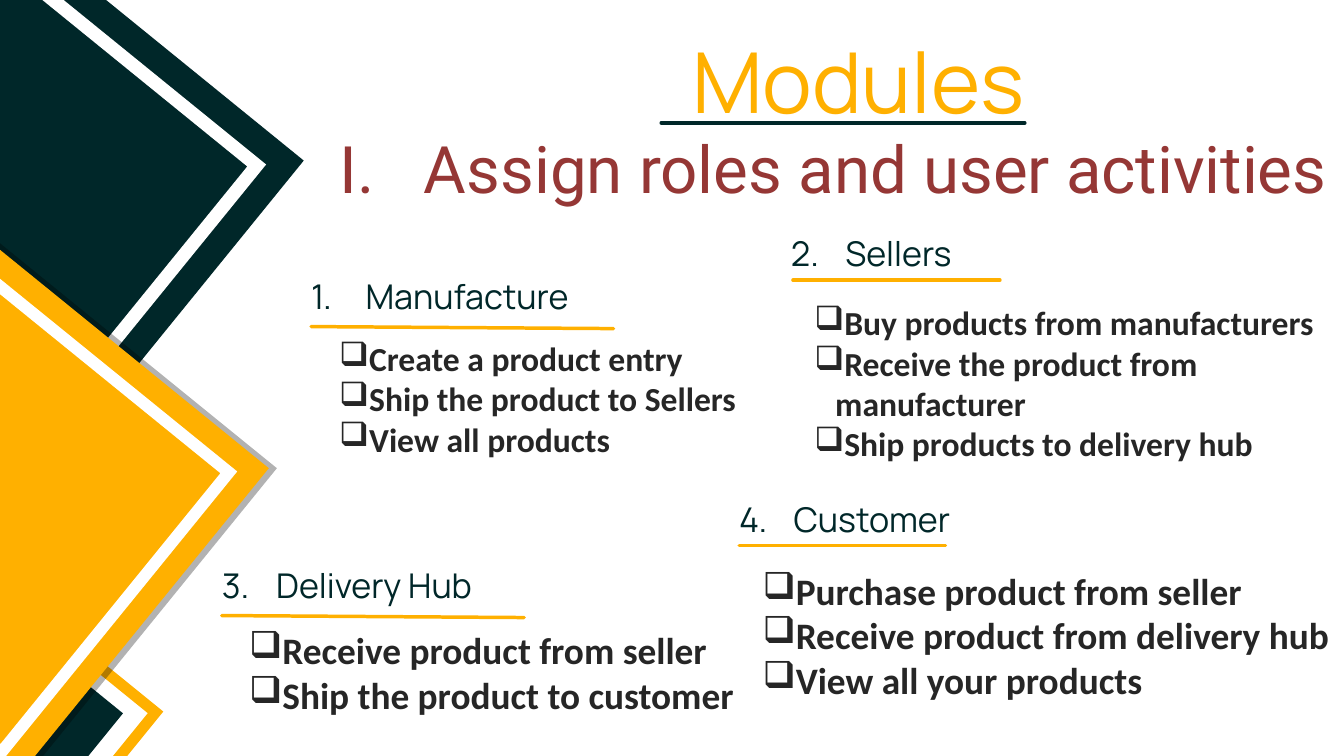
from lxml.etree import SubElement
from pptx import Presentation
from pptx.dml.color import RGBColor
from pptx.enum.shapes import MSO_CONNECTOR
from pptx.enum.text import MSO_AUTO_SIZE, PP_ALIGN
from pptx.oxml.ns import qn
from pptx.util import Cm, Pt

COLORS = {"dark": "002729", "gold": "FFB000", "white": "FFFFFF",
          "black": "000000", "red": "953735", "ink": "262626"}

# centre x, centre y, reach, inner reach (0 = solid), colour, opacity %
DIAMONDS = [
    (-0.6, 2.92, 5.12, 0, "dark", 100),
    (-0.6, 2.92, 4.56, 4.28, "white", 100),
    (-2.18, 11.03, 4.01, 0, "dark", 100),
    (-1.15, 10.96, 3.58, 3.35, "gold", 100),
    (-0.25, 7.42, 4.37, 0, "black", 30),
    (-0.37, 7.42, 4.37, 0, "gold", 100),
    (-0.37, 7.42, 3.9, 3.65, "white", 100),
]
TILT = 0.1035

RULES = [
    (9.84, 1.83, 15.25, 1.83, "dark"),
    (4.63, 4.86, 9.13, 4.89, "gold"),
    (11.8, 4.17, 14.88, 4.17, "gold"),
    (3.3, 9.16, 7.8, 9.19, "gold"),
    (11, 8.12, 14.07, 8.12, "gold"),
]

# role, heading box, list box, list size, activities
ROLES = [
    ("Manufacture", (4.63, 3.99, 5.15, 0.68), (4.95, 4.98, 6.17, 1.99), 36,
     ["Create a product entry", "Ship the product to Sellers",
      "View all products"]),
    ("Sellers", (11.77, 3.36, 5.44, 1.39), (12.02, 4.45, 7.98, 2.52), 36,
     ["Buy products from manufacturers",
      "Receive the product from manufacturer",
      "Ship products to delivery hub"]),
    ("Delivery Hub", (3.3, 8.3, 5.15, 0.68), (3.61, 9.29, 7.64, 1.45), 40,
     ["Receive product from seller", "Ship the product to customer"]),
    ("Customer", (11, 7.31, 5.44, 1.39), (11.25, 8.4, 8.73, 2.12), 40,
     ["Purchase product from seller", "Receive product from delivery hub",
      "View all your products"]),
]


def size(inches):
    return Cm(inches * 2.54)


def color(name):
    return RGBColor.from_string(COLORS[name])


def corners(x, y, reach):
    rise = reach * TILT
    steps = [(reach, -rise), (rise, reach), (-reach, rise), (-rise, -reach)]
    return [(size(x + dx), size(y + dy)) for dx, dy in steps]


def add_diamond(slide, x, y, reach, inner, tone, alpha):
    outer = corners(x, y, reach)
    path = slide.shapes.build_freeform(*outer[0])
    path.add_line_segments(outer[1:], close=True)
    if inner:
        hole = corners(x, y, inner)[::-1]
        path.move_to(*hole[0])
        path.add_line_segments(hole[1:], close=True)
    shape = path.convert_to_shape()
    shape.shadow.inherit = False
    shape.line.fill.background()
    shape.fill.solid()
    shape.fill.fore_color.rgb = color(tone)
    if alpha < 100:
        fill = shape._element.spPr.find(".//" + qn("a:srgbClr"))
        SubElement(fill, qn("a:alpha"), val=str(alpha * 1000))


def add_rule(slide, x1, y1, x2, y2, tone):
    rule = slide.shapes.add_connector(
        MSO_CONNECTOR.STRAIGHT, size(x1), size(y1), size(x2), size(y2))
    rule.line.color.rgb = color(tone)
    rule.line.width = Pt(3.75)
    rule.line._get_or_add_ln().set("cap", "rnd")
    SubElement(rule._element.spPr, qn("a:effectLst"))


def add_text(slide, box, lines, font, points, tone, bold=False, space=None,
             align=PP_ALIGN.LEFT, indent=0, mark=None, inset=(0, 0)):
    shape = slide.shapes.add_textbox(*map(size, box))
    frame = shape.text_frame
    frame.word_wrap = True
    frame.auto_size = MSO_AUTO_SIZE.SHAPE_TO_FIT_TEXT
    frame.margin_left = frame.margin_right = size(inset[0])
    frame.margin_top = frame.margin_bottom = size(inset[1])
    for i, line in enumerate(lines):
        para = frame.paragraphs[0] if i == 0 else frame.add_paragraph()
        para.alignment = align
        if space:
            para.line_spacing = Pt(space)
        if mark:
            tag, attrs = mark
            props = para._p.get_or_add_pPr()
            props.set("marL", str(size(indent)))
            props.set("indent", str(-size(indent)))
            SubElement(props, qn(tag), **attrs)
        run = para.add_run()
        run.text = line
        run.font.name = font
        run.font.size = Pt(points)
        run.font.bold = bold
        run.font.color.rgb = color(tone)


def main():
    deck = Presentation()
    deck.slide_width, deck.slide_height = size(20), size(11.25)
    slide = deck.slides.add_slide(deck.slide_layouts[6])
    for diamond in DIAMONDS:
        add_diamond(slide, *diamond)
    for rule in RULES:
        add_rule(slide, *rule)
    add_text(slide, (9.43, 0.19, 5.82, 1.68), ["Modules"], "Manrope", 90,
             "gold", space=126, align=PP_ALIGN.RIGHT)
    add_text(slide, (5.06, 2.05, 15.54, 1.04),
             ["Assign roles and user activities"], "Roboto", 70.1, "red",
             space=73.6, indent=1.25,
             mark=("a:buAutoNum", {"type": "romanUcPeriod"}))
    for start, (role, head, box, points, tasks) in enumerate(ROLES, 1):
        number = {"type": "arabicPeriod", "startAt": str(start)}
        add_text(slide, head, [role], "Manrope", 36.5, "dark", space=51.1,
                 indent=0.81, mark=("a:buAutoNum", number))
        add_text(slide, box, tasks, "Calibri", points, "ink", bold=True,
                 indent=0.31, mark=("a:buChar", {"char": "❑"}),
                 inset=(0.1, 0.05))
    deck.save("out.pptx")


if __name__ == "__main__":
    main()
